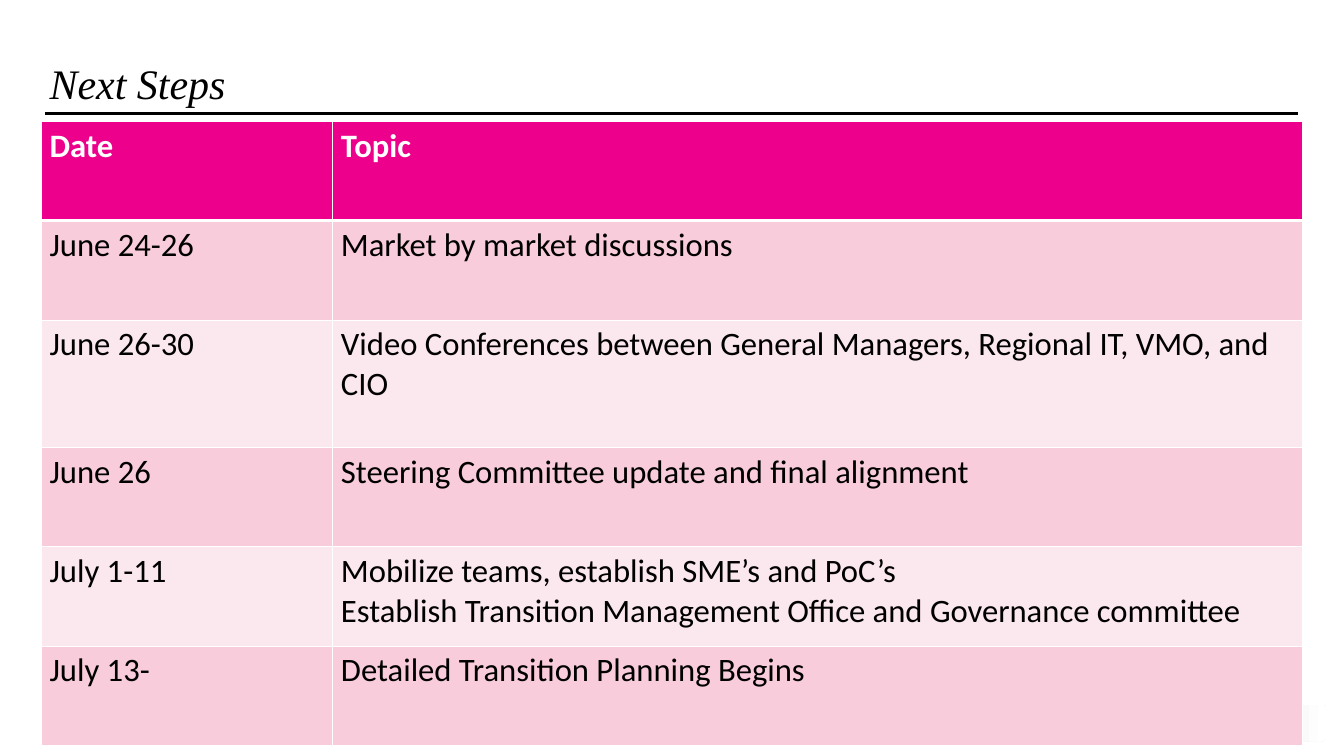
"""Build the Next Steps slide: a ruled title above a schedule table."""
from dataclasses import dataclass
from typing import Any

import lxml.etree
import pptx
import pptx.dml.color
import pptx.enum.shapes
import pptx.enum.text
import pptx.oxml.ns
import pptx.util

Pt = pptx.util.Pt


@dataclass(frozen=True)
class Theme:
    title_font: str = "Times New Roman"
    body_font: str = "Calibri"
    title_size: float = 36
    body_size: float = 28
    title_leading: float = 40
    black: str = "000000"
    white: str = "FFFFFF"
    gray: str = "ECECEC"
    header: str = "EC008C"
    bands: tuple[str, str] = ("F8CCDA", "FBE7EE")


@dataclass(frozen=True)
class Box:
    left: float
    top: float
    width: float
    height: float


@dataclass(frozen=True)
class FooterBar:
    box: Box
    start: str
    end: str


@dataclass(frozen=True)
class Step:
    date: str
    topic: str
    height: float = 85


THEME = Theme()
TITLE_BOX = Box(35.3, 13.7, 1081.4, 82)
TABLE_BOX = Box(35.3, 104.4, 1081.4, 534.5)
COLUMN_WIDTHS = (249.8, 831.6)
FOOTER_BARS = (
    FooterBar(Box(24.5, 604, 915.8, 31.7), THEME.white, THEME.gray),
    FooterBar(Box(1067.8, 604, 69.8, 31.7), THEME.gray, THEME.white),
)
STEPS = (
    Step("Date", "Topic"),
    Step("June 24-26", "Market by market discussions"),
    Step("June 26-30", "Video Conferences between General Managers, Regional IT, VMO, and CIO", 109.5),
    Step("June 26", "Steering Committee update and final alignment"),
    Step("July 1-11", "Mobilize teams, establish SME’s and PoC’s\n"
                      "Establish Transition Management Office and Governance committee"),
    Step("July 13-", "Detailed Transition Planning Begins"),
)


def rgb(value: str) -> pptx.dml.color.RGBColor:
    return pptx.dml.color.RGBColor.from_string(value)


def apply(target: Any, values: dict[str, Any]) -> None:
    for name, value in values.items():
        setattr(target, name, value)


def points(box: Box) -> tuple[Any, ...]:
    return Pt(box.left), Pt(box.top), Pt(box.width), Pt(box.height)


def draw_footer_bar(slide: Any, bar: FooterBar) -> None:
    shape = slide.shapes.add_shape(
        pptx.enum.shapes.MSO_SHAPE.ROUNDED_RECTANGLE, *points(bar.box))
    shape.shadow.inherit = False
    shape.line.fill.background()
    shape.fill.gradient()
    shape.fill.gradient_angle = 0
    for stop, color in zip(shape.fill.gradient_stops, (bar.start, bar.end)):
        stop.color.rgb = rgb(color)


def draw_rule(slide: Any) -> None:
    rule = slide.shapes.add_connector(
        pptx.enum.shapes.MSO_CONNECTOR.STRAIGHT, Pt(38.9), Pt(97.2), Pt(1112.4), Pt(97.2))
    rule.line.color.rgb = rgb(THEME.black)
    rule.line.width = Pt(3)
    lxml.etree.SubElement(rule._element.spPr, pptx.oxml.ns.qn("a:effectLst"))


def draw_title(slide: Any, text: str) -> None:
    title = slide.shapes.title
    apply(title, dict(zip(("left", "top", "width", "height"), points(TITLE_BOX))))
    title.text = text
    apply(title.text_frame, {
        "word_wrap": True,
        "auto_size": pptx.enum.text.MSO_AUTO_SIZE.NONE,
        "vertical_anchor": pptx.enum.text.MSO_ANCHOR.BOTTOM,
    })
    paragraph = title.text_frame.paragraphs[0]
    apply(paragraph, {
        "alignment": pptx.enum.text.PP_ALIGN.LEFT,
        "line_spacing": Pt(THEME.title_leading),
    })
    font = paragraph.runs[0].font
    apply(font, {"name": THEME.title_font, "size": Pt(THEME.title_size), "italic": True})
    font.color.rgb = rgb(THEME.black)


def set_borders(cell: Any, widths: dict[str, float]) -> None:
    properties = cell._tc.get_or_add_tcPr()
    for position, (side, width) in enumerate(widths.items()):
        border = lxml.etree.Element(pptx.oxml.ns.qn(f"a:{side}"), w=str(Pt(width)))
        fill = lxml.etree.SubElement(border, pptx.oxml.ns.qn("a:solidFill"))
        lxml.etree.SubElement(fill, pptx.oxml.ns.qn("a:srgbClr"), val=THEME.white)
        properties.insert(position, border)


def format_cell(cell: Any, text: str, row: int) -> None:
    is_header = row == 0
    cell.text = text
    cell.fill.solid()
    cell.fill.fore_color.rgb = rgb(THEME.header if is_header else THEME.bands[(row - 1) % 2])
    for paragraph in cell.text_frame.paragraphs:
        font = paragraph.runs[0].font
        apply(font, {"name": THEME.body_font, "size": Pt(THEME.body_size), "bold": is_header})
        font.color.rgb = rgb(THEME.white if is_header else THEME.black)
    set_borders(cell, {"lnL": 1, "lnR": 1, "lnT": 3 if row == 1 else 1, "lnB": 3 if is_header else 1})


def draw_schedule(slide: Any) -> None:
    table = slide.shapes.add_table(len(STEPS), len(COLUMN_WIDTHS), *points(TABLE_BOX)).table
    for column, width in zip(table.columns, COLUMN_WIDTHS):
        column.width = Pt(width)
    for row, step in enumerate(STEPS):
        table.rows[row].height = Pt(step.height)
        for column, text in enumerate((step.date, step.topic)):
            format_cell(table.cell(row, column), text, row)


def main() -> None:
    presentation = pptx.Presentation()
    apply(presentation, {"slide_width": Pt(1152), "slide_height": Pt(648)})
    slide = presentation.slides.add_slide(presentation.slide_layouts[5])
    for bar in FOOTER_BARS:
        draw_footer_bar(slide, bar)
    draw_rule(slide)
    draw_title(slide, "Next Steps")
    draw_schedule(slide)
    presentation.save("out.pptx")


if __name__ == "__main__":
    main()
